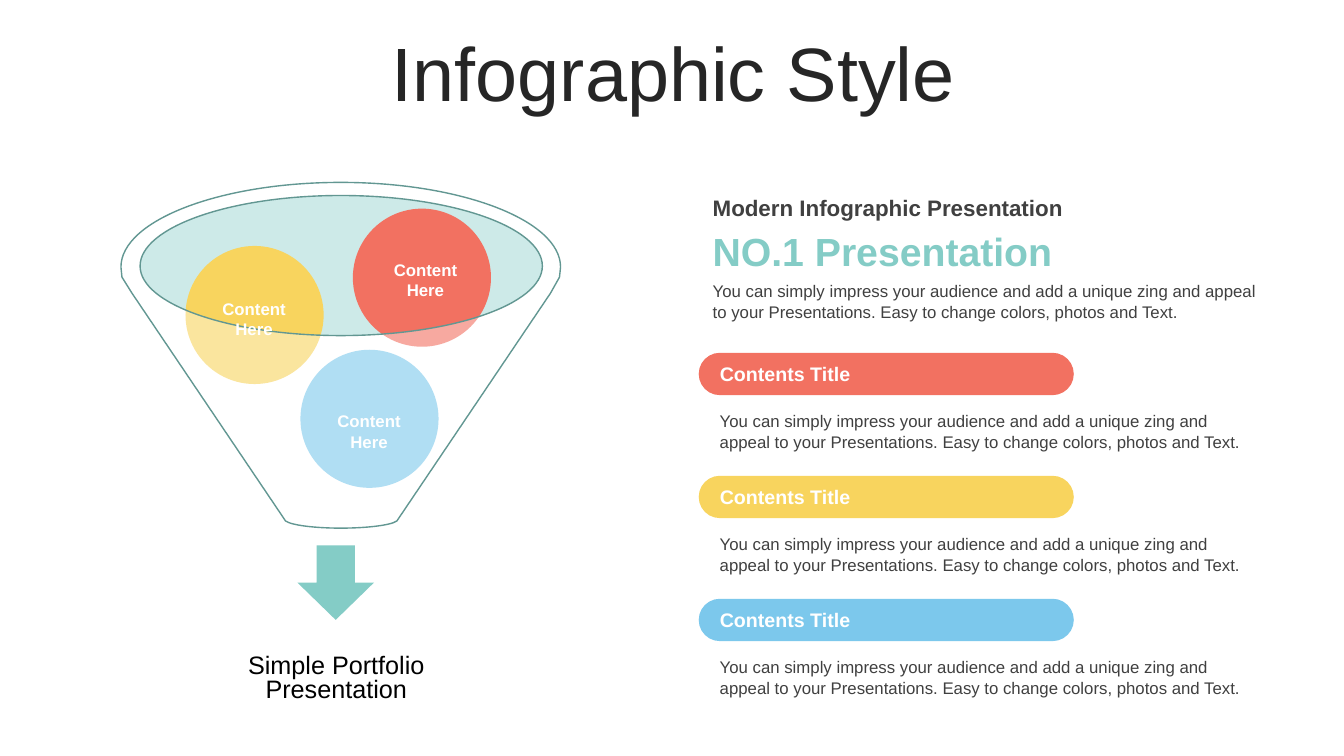
import itertools
from dataclasses import dataclass

import lxml.etree
import pptx
import pptx.dml.color
import pptx.enum.shapes
import pptx.enum.text
import pptx.oxml.ns
import pptx.util

Inches = pptx.util.Inches
Shape = pptx.enum.shapes.MSO_SHAPE
Align = pptx.enum.text.PP_ALIGN
qualify = pptx.oxml.ns.qn


@dataclass(frozen=True)
class Theme:
    font: str = "Arial"
    dark: str = "262626"
    gray: str = "404040"
    black: str = "000000"
    white: str = "FFFFFF"
    teal: str = "84CCC6"
    outline: str = "629792"
    coral: str = "F27161"
    yellow: str = "F8D45E"
    blue: str = "7CC8EC"
    title_size: int = 54
    headline_size: int = 28
    caption_size: int = 18
    kicker_size: int = 16
    bar_size: int = 14
    body_size: int = 12


def rgb(color):
    return pptx.dml.color.RGBColor.from_string(color)


def quarter_arcs(corners, horizontal):
    """Bezier segments of an ellipse through its extreme points, leaving the first one flat or upright."""
    pull = 0.55
    segments = []
    for (x1, y1), (x2, y2) in itertools.pairwise(corners):
        dx, dy = pull * (x2 - x1), pull * (y2 - y1)
        handles = ([(x1 + dx, y1), (x2, y2 - dy)] if horizontal
                   else [(x1, y1 + dy), (x2 - dx, y2)])
        segments.append(handles + [(x2, y2)])
        horizontal = not horizontal
    return segments


class SlideBuilder:
    def __init__(self, deck, theme):
        self.theme = theme
        self.page = deck.slides.add_slide(deck.slide_layouts[5])
        self.shapes = self.page.shapes

    def start_group(self):
        self.shapes = self.page.shapes.add_group_shape().shapes

    def end_group(self):
        self.shapes = self.page.shapes

    def format_text(self, box, text, size, color, bold=False, align=Align.LEFT, spacing=None):
        frame = box.text_frame
        frame.text = text
        frame.word_wrap = True
        para = frame.paragraphs[0]
        para.alignment = align
        para.line_spacing = spacing
        for span in para.runs:
            span.font.name = self.theme.font
            span.font.size = pptx.util.Pt(size)
            span.font.bold = bold
            span.font.color.rgb = rgb(color)

    def title(self, text, *place):
        box = self.page.shapes.title
        box.left, box.top, box.width, box.height = map(Inches, place)
        self.format_text(box, text, self.theme.title_size, self.theme.dark,
                         align=Align.CENTER, spacing=0.9)
        box.text_frame.vertical_anchor = pptx.enum.text.MSO_ANCHOR.MIDDLE

    def text(self, text, place, size, color, **style):
        box = self.shapes.add_textbox(*map(Inches, place))
        self.format_text(box, text, size, color, **style)
        box.text_frame.auto_size = pptx.enum.text.MSO_AUTO_SIZE.SHAPE_TO_FIT_TEXT

    def paint(self, shape, color, opacity=100):
        shape.shadow.inherit = False
        shape.fill.solid()
        shape.fill.fore_color.rgb = rgb(color)
        shape.line.fill.background()
        if opacity < 100:
            color_node = shape.fill._xPr.find(".//" + qualify("a:srgbClr"))
            lxml.etree.SubElement(color_node, qualify("a:alpha"), val=str(opacity * 1000))

    def shape(self, kind, place, color, opacity=100):
        shape = self.shapes.add_shape(kind, *map(Inches, place))
        self.paint(shape, color, opacity)
        return shape

    def outline(self, contours, color, opacity, line_color):
        """Draw closed contours, each a start and segments of one point (line) or three (curve)."""
        def emu(point):
            return Inches(point[0]), Inches(point[1])

        builder = self.shapes.build_freeform(*emu(contours[0][0]), scale=1.0)
        for index, (start, segments) in enumerate(contours):
            if index:
                builder.move_to(*emu(start))
            builder.add_line_segments([emu(point) for part in segments for point in part],
                                      close=True)
        shape = builder.convert_to_shape()
        lines = iter(list(shape._element.iter(qualify("a:lnTo"))))
        for part in itertools.chain.from_iterable(segments for _, segments in contours):
            nodes = list(itertools.islice(lines, len(part)))
            if len(part) == 3:
                curve = nodes[0].makeelement(qualify("a:cubicBezTo"))
                nodes[0].addprevious(curve)
                for node in nodes:
                    curve.append(node[0])
                    node.getparent().remove(node)
        self.paint(shape, color, opacity)
        shape.line.color.rgb = rgb(line_color)
        shape.line.width = pptx.util.Pt(1)


def draw_funnel(slide):
    theme = slide.theme
    middle = 3.38
    ball_size = 1.37
    balls = [(1.84, 2.44, theme.yellow), (3.5, 2.07, theme.coral), (2.98, 3.47, theme.blue)]

    slide.start_group()
    slide.shape(Shape.OVAL, (1.39, 1.94, 3.99, 1.39), theme.teal, 40)
    for left, top, color in balls:
        slide.shape(Shape.OVAL, (left, top, ball_size, ball_size), color)
    top = (middle, 1.94)
    opening = quarter_arcs([top, (1.39, 2.64), (middle, 3.33), (5.38, 2.64), top], True)
    rim = quarter_arcs([(1.2, 2.65), (middle, 1.81), (5.56, 2.65)], False)
    spout = quarter_arcs([(3.95, 5.15), (middle, 5.24), (2.82, 5.15)], False)
    right_side = [[(5.55, 2.75)], [(5.46, 2.91)], [(3.95, 5.15)]]
    left_side = [[(1.31, 2.91)], [(1.21, 2.75)]]
    body = rim + right_side + spout + left_side
    slide.outline([(top, opening), ((1.2, 2.65), body)], theme.white, 40, theme.outline)
    slide.end_group()

    slide.shape(Shape.DOWN_ARROW, (2.95, 5.41, 0.76, 0.74), theme.teal)
    for left, top in [(3.66, 2.53), (1.96, 2.91), (3.1, 4.03)]:
        slide.text("Content Here", (left, top, 1.12, 0.5), theme.body_size,
                   theme.white, bold=True, align=Align.CENTER)
    slide.text("Simple Portfolio Presentation", (2.19, 6.45, 2.29, 0.59),
               theme.caption_size, theme.black, align=Align.CENTER, spacing=0.8)


def draw_contents(slide):
    theme = slide.theme
    message = ("You can simply impress your audience and add a unique zing and appeal "
               "to your Presentations. Easy to change colors, photos and Text.")

    for index, color in enumerate([theme.coral, theme.yellow, theme.blue]):
        top = 3.5 + 1.22 * index
        slide.start_group()
        bar = slide.shape(Shape.ROUNDED_RECTANGLE, (6.93, top, 3.72, 0.42), color)
        bar.adjustments[0] = 0.5
        slide.text(message, (7.04, top + 0.53, 5.5, 0.5), theme.body_size, theme.gray)
        slide.text("Contents Title", (7.04, top + 0.04, 3.15, 0.34), theme.bar_size,
                   theme.white, bold=True)
        slide.end_group()

    slide.text("NO.1 Presentation", (6.97, 2.21, 5.57, 0.57), theme.headline_size,
               theme.teal, bold=True)
    slide.text("Modern Infographic Presentation", (6.97, 1.88, 5.57, 0.37),
               theme.kicker_size, theme.gray, bold=True)
    slide.text(message, (6.97, 2.74, 5.61, 0.5), theme.body_size, theme.gray)


def main():
    deck = pptx.Presentation()
    deck.slide_width, deck.slide_height = Inches(13.33), Inches(7.5)
    slide = SlideBuilder(deck, Theme())
    slide.title("Infographic Style", 0.35, 0.37, 12.66, 0.79)
    draw_funnel(slide)
    draw_contents(slide)
    deck.save("out.pptx")


if __name__ == "__main__":
    main()
